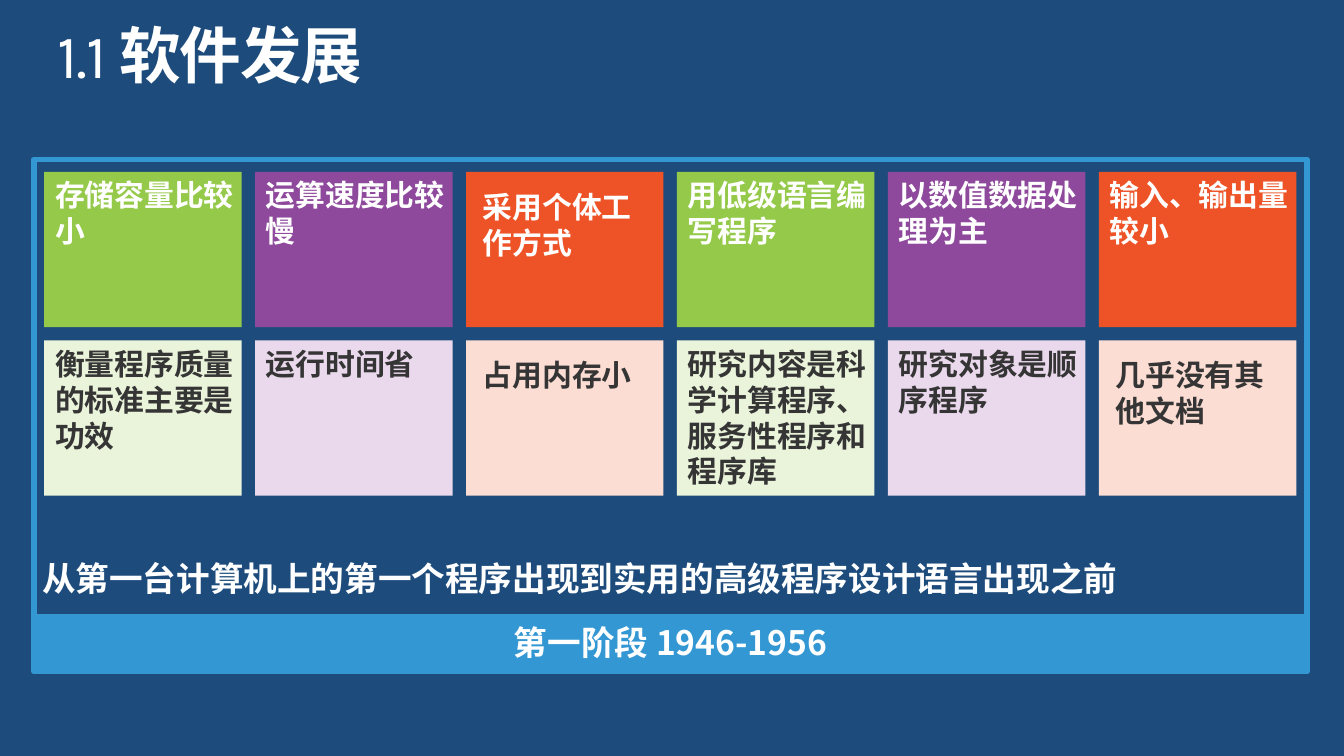
import pptx
import pptx.dml.color
import pptx.enum.shapes
import pptx.enum.text
import pptx.oxml.ns
import pptx.util
from lxml import etree

Pt = pptx.util.Pt
ALIGN = pptx.enum.text.PP_ALIGN
ANCHOR = pptx.enum.text.MSO_ANCHOR
RECTANGLE = pptx.enum.shapes.MSO_SHAPE.RECTANGLE
CHINESE_FONT = "Noto Sans CJK SC"
WHITE, DARK, BLUE, NAVY = "FFFFFF", "363535", "3397D3", "1D4C7C"


def color(hex_string):
    return pptx.dml.color.RGBColor.from_string(hex_string)


def write(shape, text, size, text_color, insets, align=ALIGN.LEFT, anchor=ANCHOR.TOP):
    """Fill a shape with one bold Chinese paragraph; insets are left, top, right, bottom."""
    frame = shape.text_frame
    frame.text = text
    frame.word_wrap = True
    frame.vertical_anchor = anchor
    frame.margin_left, frame.margin_top, frame.margin_right, frame.margin_bottom = map(Pt, insets)
    paragraph = frame.paragraphs[0]
    paragraph.alignment = align
    font = paragraph.runs[0].font
    font.size, font.bold, font.name = Pt(size), True, CHINESE_FONT
    font.color.rgb = color(text_color)
    east_asian = etree.SubElement(font._element, pptx.oxml.ns.qn("a:ea"))
    east_asian.set("typeface", CHINESE_FONT)


presentation = pptx.Presentation()
presentation.slide_width, presentation.slide_height = Pt(720), Pt(405)
slide = presentation.slides.add_slide(presentation.slide_layouts[5])
slide.background.fill.solid()
slide.background.fill.fore_color.rgb = color(NAVY)

# Title: section number in a light Latin face, then the bold heading
title = slide.shapes.title
title.left, title.top, title.width, title.height = Pt(31), Pt(13.7), Pt(659), Pt(36)
write(title, "软件发展", 33, WHITE, (0, 0, 0, 0))
title.text_frame.auto_size = pptx.enum.text.MSO_AUTO_SIZE.SHAPE_TO_FIT_TEXT
paragraph = title.text_frame.paragraphs[0]
paragraph.line_spacing = 0.9
number = paragraph.add_run()
number.text = "1.1 "
number.font.size, number.font.name, number.font.bold = Pt(33), "Karla", False
number.font.color.rgb = color(WHITE)
paragraph.runs[0]._r.addprevious(number._r)
for run in paragraph.runs:
    run.font._element.set("spc", "-80")

# Feature cards: a strong row above a pale row, colours repeating every three columns
TIGHT, ROOMY = (5.8, 2.9, 2.9, 5.8), (9, 9, 9, 12)
card_rows = [
    (92, WHITE, ["94C949", "8E499C", "ED5326"], [2],
     ["存储容量比较小", "运算速度比较慢", "采用个体工作方式",
      "用低级语言编写程序", "以数值数据处理为主", "输入、输出量较小"]),
    (182.3, DARK, ["EAF4DB", "EAD9ED", "FBDDD4"], [2, 5],
     ["衡量程序质量的标准主要是功效", "运行时间省", "占用内存小",
      "研究内容是科学计算程序、服务性程序和程序库", "研究对象是顺序程序", "几乎没有其他文档"]),
]
for top, text_color, fills, roomy_columns, texts in card_rows:
    for column, text in enumerate(texts):
        card = slide.shapes.add_shape(
            RECTANGLE, Pt(23.7 + 113 * column), Pt(top), Pt(105.8), Pt(83.3))
        card.shadow.inherit = False
        card.fill.solid()
        card.fill.fore_color.rgb = color(fills[column % 3])
        card.line.fill.background()
        write(card, text, 16, text_color, ROOMY if column in roomy_columns else TIGHT)

# Description of the period
description = slide.shapes.add_textbox(Pt(22.5), Pt(294), Pt(613.5), Pt(32.4))
write(description, "从第一台计算机上的第一个程序出现到实用的高级程序设计语言出现之前",
      18, WHITE, (0, 5, 9.4, 5))

# Stage banner and the frame around everything
banner = slide.shapes.add_shape(RECTANGLE, Pt(18.2), Pt(330.3), Pt(682), Pt(29.2))
frame = slide.shapes.add_shape(RECTANGLE, Pt(18.2), Pt(85.5), Pt(682), Pt(274))
for shape in (banner, frame):
    shape.shadow.inherit = False
    shape.line.color.rgb = color(BLUE)
    shape.line.width = Pt(3)
banner.fill.solid()
banner.fill.fore_color.rgb = color(BLUE)
frame.fill.background()
write(banner, "第一阶段 1946-1956", 18, WHITE, (4.3, 2.9, 4.3, 5), ALIGN.CENTER, ANCHOR.MIDDLE)

presentation.save("out.pptx")
